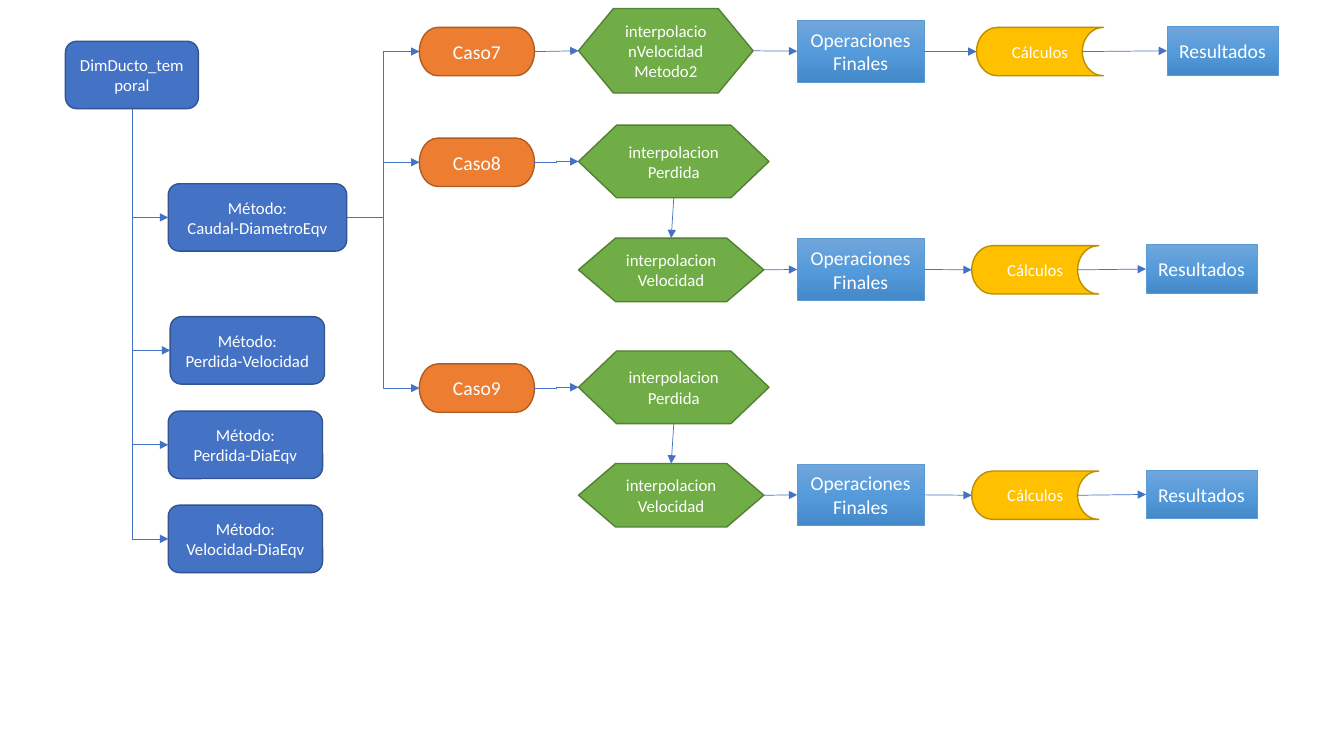
from copy import deepcopy

from pptx import Presentation
from pptx.dml.color import RGBColor
from pptx.enum.shapes import MSO_CONNECTOR, MSO_SHAPE
from pptx.enum.text import MSO_ANCHOR, PP_ALIGN
from pptx.oxml.ns import qn
from pptx.oxml.xmlchemy import OxmlElement
from pptx.util import Cm, Pt

STRAIGHT, ELBOW = MSO_CONNECTOR.STRAIGHT, MSO_CONNECTOR.ELBOW
CENTER, MIDDLE = PP_ALIGN.CENTER, MSO_ANCHOR.MIDDLE
TOP, LEFT, BOTTOM, RIGHT = range(4)  # connection sites

COLORS = {
    "white": "FFFFFF",
    "link": "4472C4",
    "blue": "4472C4", "blue edge": "325491",
    "orange": "ED7D31", "orange edge": "AF5C24",
    "green": "70AD47", "green edge": "538035",
    "gold": "FFC000", "gold edge": "BD8E00",
    "sky edge": "5B9BD5",
    "sky top": "71A6DB", "sky mid": "559BDB", "sky end": "448ACA",
}

# Kind of node: preset, colour, text size, line width
KINDS = {
    "method": (MSO_SHAPE.FLOWCHART_ALTERNATE_PROCESS, "blue", 12, 1),
    "case": (MSO_SHAPE.FLOWCHART_TERMINATOR, "orange", 14, 1),
    "interp": (MSO_SHAPE.FLOWCHART_PREPARATION, "green", 12, 1),
    "step": (MSO_SHAPE.FLOWCHART_PROCESS, "sky", 14, 0.5),
    "store": (MSO_SHAPE.FLOWCHART_STORED_DATA, "gold", 12, 1),
}

# Methods: label, left, middle, width
METHODS = [
    ("Método:\nCaudal-DiametroEqv", 4.24, 5.48, 4.5),
    ("Método:\nPerdida-Velocidad", 4.29, 8.83, 3.89),
    ("Método:\nPerdida-DiaEqv", 4.24, 11.21, 3.89),
    ("Método:\nVelocidad-DiaEqv", 4.24, 13.58, 3.89),
]

# Two-step cases: label, middle of the case, of the loss and of the speed step
CASES = [
    ("Caso8", 4.09, 4.07, 6.8),
    ("Caso9", 9.78, 9.76, 12.48),
]


def rgb(name):
    return RGBColor.from_string(COLORS[name])


def write(frame, text, size=12, color="white", font="Calibri", align=CENTER):
    frame.word_wrap = True
    frame.vertical_anchor = MIDDLE
    for i, line in enumerate(text.split("\n")):
        para = frame.add_paragraph() if i else frame.paragraphs[0]
        para.alignment = align
        run = para.add_run()
        run.text = line
        run.font.size = Pt(size)
        run.font.name = font
        run.font.color.rgb = rgb(color)


def shade(shape):
    """Fill with the three-stop sky gradient, from top to bottom."""
    fill = shape.fill
    fill.gradient()
    fill.gradient_angle = 270
    stops = shape._element.spPr.find(qn("a:gradFill")).find(qn("a:gsLst"))
    stops.append(deepcopy(stops[0]))
    names = ("sky top", "sky mid", "sky end")
    for i, (stop, name) in enumerate(zip(fill.gradient_stops, names)):
        stop.position = i / 2
        stop.color.rgb = rgb(name)


def node(page, kind, text, left, mid, width, height):
    """Add a labelled box whose vertical middle is at mid."""
    preset, color, size, weight = KINDS[kind]
    shape = page.shapes.add_shape(
        preset, Cm(left), Cm(mid - height / 2), Cm(width), Cm(height))
    shape.shadow.inherit = False
    if color == "sky":
        shade(shape)
    else:
        shape.fill.solid()
        shape.fill.fore_color.rgb = rgb(color)
    shape.line.color.rgb = rgb(color + " edge")
    shape.line.width = Pt(weight)
    write(shape.text_frame, text, size=size)
    return shape


def link(page, start, end, kind=STRAIGHT, out=RIGHT, into=LEFT):
    """Join two boxes with an arrow glued to their sites."""
    line = page.shapes.add_connector(kind, 0, 0, 0, 0)
    line.begin_connect(start, out)
    line.end_connect(end, into)
    line.line.color.rgb = rgb("link")
    line.line.width = Pt(0.5)
    head = OxmlElement("a:tailEnd")
    head.set("type", "triangle")
    line.line._get_or_add_ln().append(head)
    line._element.spPr.append(OxmlElement("a:effectLst"))
    return line


def branch(page, start, end):
    """Arrow that goes down from start, then right into end."""
    line = link(page, start, end, ELBOW, out=BOTTOM)
    wide, high = line.width, line.height
    # The one-bend preset runs right then down, so turn and mirror it
    line.left, line.top = (line.left + (wide - high) // 2,
                           line.top + (high - wide) // 2)
    line.width, line.height = high, wide
    props = line._element.spPr
    props.find(qn("a:prstGeom")).set("prst", "bentConnector2")
    frame = props.find(qn("a:xfrm"))
    frame.set("rot", "16200000")
    frame.set("flipH", "1")


def finish(page, prev, mid, store_x, result_x, kind=STRAIGHT):
    """Add the closing steps of a row, following prev."""
    final = node(page, "step", "OperacionesFinales", 20.09, mid, 3.2, 1.55)
    store = node(page, "store", "Cálculos", store_x, mid + 0.01, 3.2, 1.22)
    result = node(page, "step", "Resultados", result_x, mid - 0.01, 2.8, 1.22)
    link(page, prev, final)
    link(page, final, store, kind)
    last = link(page, store, result)
    last.begin_x = store.left + store.width * 5 // 6  # inner curve


def case(page, method, text, mid):
    box = node(page, "case", text, 10.57, mid, 2.9, 1.22)
    link(page, method, box, ELBOW)
    return box


def main():
    deck = Presentation()
    deck.slide_width, deck.slide_height = Cm(33.87), Cm(19.05)
    page = deck.slides.add_slide(deck.slide_layouts[6])

    # Root and its methods
    root = node(page, "method", "DimDucto_temporal", 1.65, 1.89, 3.35, 1.7)
    methods = [node(page, "method", *item, 1.7) for item in METHODS]
    for method in methods:
        branch(page, root, method)

    # Case with a single interpolation
    first = case(page, methods[0], "Caso7", 1.3)
    speed = node(page, "interp", "interpolacionVelocidadMetodo2",
                 14.58, 1.28, 4.4, 2.13)
    link(page, first, speed)
    finish(page, speed, 1.29, 24.81 - 0.2, 29.41, ELBOW)

    # Cases with two interpolations
    for text, mid, loss_y, speed_y in CASES:
        box = case(page, methods[0], text, mid)
        loss = node(page, "interp", "interpolacionPerdida",
                    14.58, loss_y, 4.8, 1.83)
        speed = node(page, "interp", "interpolacionVelocidad",
                     14.58, speed_y, 4.67, 1.6)
        link(page, box, loss, ELBOW)
        link(page, loss, speed, out=BOTTOM, into=TOP)
        finish(page, speed, speed_y - 0.01, 24.49, 28.88)

    deck.save("out.pptx")


if __name__ == "__main__":
    main()
